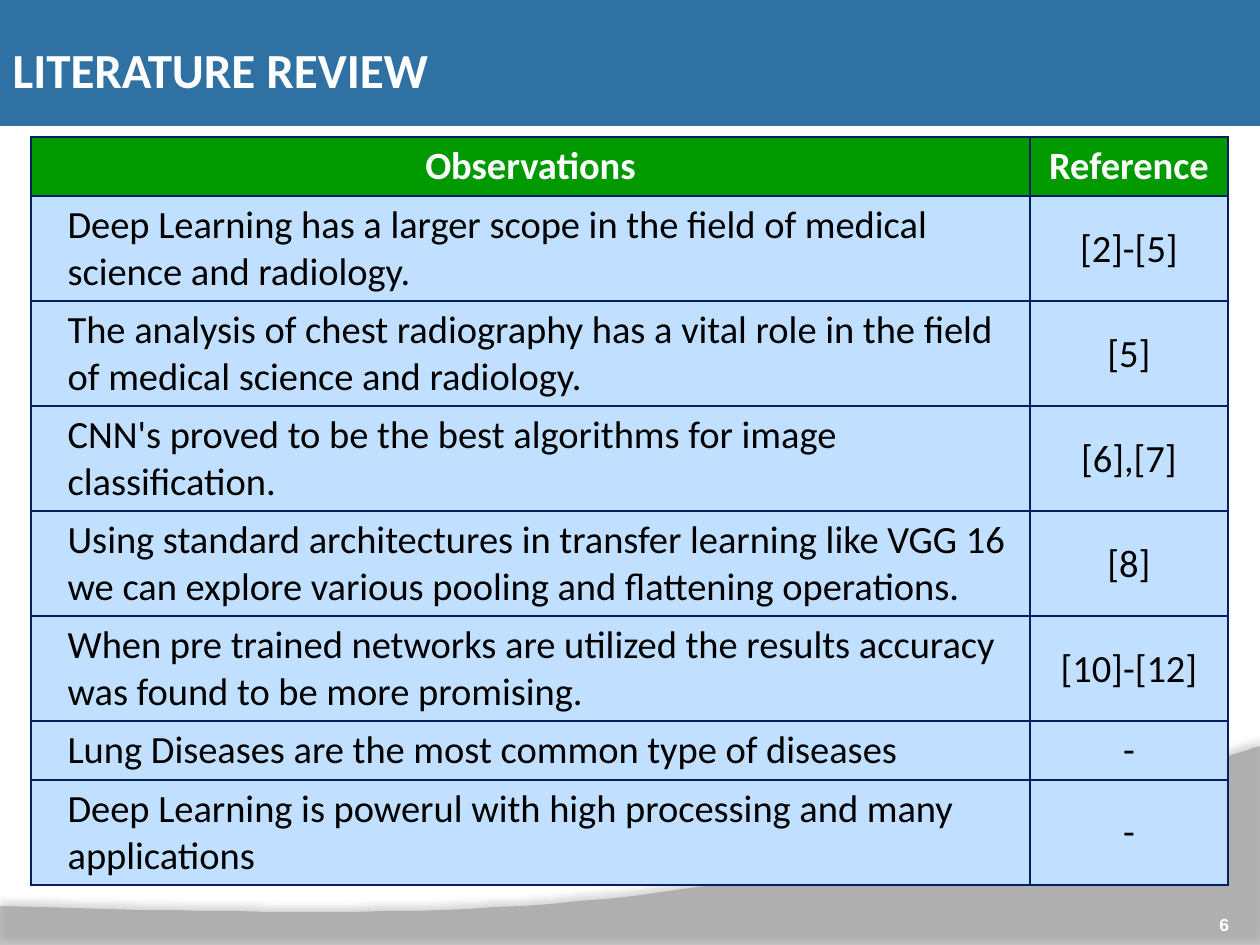
import pptx
import pptx.util
import pptx.dml.color
import pptx.enum.shapes
import pptx.enum.text
import pptx.oxml
import pptx.oxml.ns

PX = 914400 / 126
NAMESPACE = pptx.oxml.ns.nsdecls("a")
ALIGN = pptx.enum.text.PP_ALIGN
ANCHOR = pptx.enum.text.MSO_ANCHOR

OBSERVATIONS = [
    ("Deep Learning has a larger scope in the field of medical science and radiology.", "[2]-[5]"),
    ("The analysis of chest radiography has a vital role in the field of medical science and radiology.", "[5]"),
    ("CNN's proved to be the best algorithms for image\nclassification.", "[6],[7]"),
    ("Using standard architectures in transfer learning like VGG 16 we can explore various pooling "
     "and flattening operations.", "[8]"),
    ("When pre trained networks are utilized the results accuracy was found to be more promising.", "[10]-[12]"),
    ("Lung Diseases are the most common type of diseases", "-"),
    ("Deep Learning is powerul with high processing and many applications", "-"),
]


def px(length):
    return pptx.util.Emu(round(length * PX))


def color(value):
    return pptx.dml.color.RGBColor.from_string(value)


def paint(target, value):
    target.fill.solid()
    target.fill.fore_color.rgb = color(value)


def write(frame, text, size, value, bold=False, align=ALIGN.LEFT, font="Calibri"):
    frame.text = text
    for para in frame.paragraphs:
        para.alignment = align
        for span in para.runs:
            span.font.name = font
            span.font.size = pptx.util.Pt(size)
            span.font.bold = bold
            span.font.color.rgb = color(value)


def bezier(start, first, second, end, steps=40):
    for step in range(1, steps + 1):
        t = step / steps
        weights = ((1 - t) ** 3, 3 * t * (1 - t) ** 2, 3 * t * t * (1 - t), t ** 3)
        yield tuple(sum(weight * point[axis] for weight, point in zip(weights, (start, first, second, end)))
                    for axis in (0, 1))


def add_wave(page, left, top, width, height):
    start, end = (left + width, top), (left, top + 160)
    curve = bezier(start, (left + 704, top + 181), (left + 493, top + 173), end)
    builder = page.shapes.build_freeform(*end, scale=PX)
    builder.add_line_segments([(left, top + height), (left + width, top + height), start, *curve])
    wave = builder.convert_to_shape()
    wave.line.fill.background()
    paint(wave, "7F7F7F")
    wave.fill._xPr.find(".//" + pptx.oxml.ns.qn("a:srgbClr")).append(
        pptx.oxml.parse_xml(f'<a:alpha {NAMESPACE} val="45000"/>'))
    wave._element.spPr.append(pptx.oxml.parse_xml(
        f'<a:effectLst {NAMESPACE}><a:outerShdw blurRad="50800" dist="44450" dir="16200000" algn="tl" '
        'rotWithShape="0"><a:srgbClr val="000000"><a:alpha val="35000"/></a:srgbClr>'
        '</a:outerShdw></a:effectLst>'))


def add_banner(page, left, top, width, height):
    banner = page.shapes.add_shape(pptx.enum.shapes.MSO_SHAPE.RECTANGLE,
                                   px(left), px(top), px(width), px(height))
    banner.shadow.inherit = False
    paint(banner, "2F71A2")
    banner.line.fill.background()
    title = page.shapes.title
    title.left, title.top = px(left), px(top + 33)
    title.width, title.height = px(width - 116), px(72)
    title.text_frame.vertical_anchor = ANCHOR.TOP
    title.text_frame.auto_size = pptx.enum.text.MSO_AUTO_SIZE.NONE
    write(title.text_frame, "LITERATURE REVIEW", 28, "FFFFFF", bold=True)
    page.shapes._spTree.append(title._element)


def add_page_number(page, left, top, width, height):
    box = page.shapes.add_textbox(px(left), px(top), px(width), px(height))
    frame = box.text_frame
    frame.word_wrap = True
    frame.vertical_anchor = ANCHOR.BOTTOM
    frame.margin_left = frame.margin_right = frame.margin_top = frame.margin_bottom = 0
    write(frame, "6", 10, "FFFFFF", bold=True, align=ALIGN.RIGHT, font="Arial")


def set_borders(cell, value):
    properties = cell._tc.get_or_add_tcPr()
    for index, side in enumerate(("lnL", "lnR", "lnT", "lnB")):
        properties.insert(index, pptx.oxml.parse_xml(
            f'<a:{side} {NAMESPACE} w="12700"><a:solidFill><a:srgbClr val="{value}"/></a:solidFill></a:{side}>'))


def add_review_table(page, left, top, width, height):
    rows = [("Observations", "Reference"), *OBSERVATIONS]
    table = page.shapes.add_table(len(rows), 2, px(left), px(top), px(width), px(height)).table
    reference_width = 198
    table.columns[0].width = px(width - reference_width)
    table.columns[1].width = px(reference_width)
    for row_index, texts in enumerate(rows):
        header = row_index == 0
        table.rows[row_index].height = px(105 if row_index == 1 else 58)
        for column, text in enumerate(texts):
            cell = table.cell(row_index, column)
            cell.vertical_anchor = ANCHOR.MIDDLE
            paint(cell, "009900" if header else "C1E0FF")
            set_borders(cell, "002060")
            centred = header or column == 1
            write(cell.text_frame, text, 22, "FFFFFF" if header else "000000", bold=header,
                  align=ALIGN.CENTER if centred else ALIGN.LEFT)
            if not centred:
                for para in cell.text_frame.paragraphs:
                    para._p.get_or_add_pPr().set("marL", str(px(24)))
            elif not header:
                cell.margin_left = cell.margin_right = cell.margin_top = px(1)
                cell.margin_bottom = 0


def main():
    deck = pptx.Presentation()
    deck.slide_width, deck.slide_height = px(1260), px(945)
    page = deck.slides.add_slide(deck.slide_layouts[5])
    add_wave(page, 0, 746, 1260, 200)
    add_banner(page, 0, 0, 1260, 126)
    add_page_number(page, 1124, 885, 105, 50)
    add_review_table(page, 31, 137, 1197, 511)
    deck.save("out.pptx")


if __name__ == "__main__":
    main()
